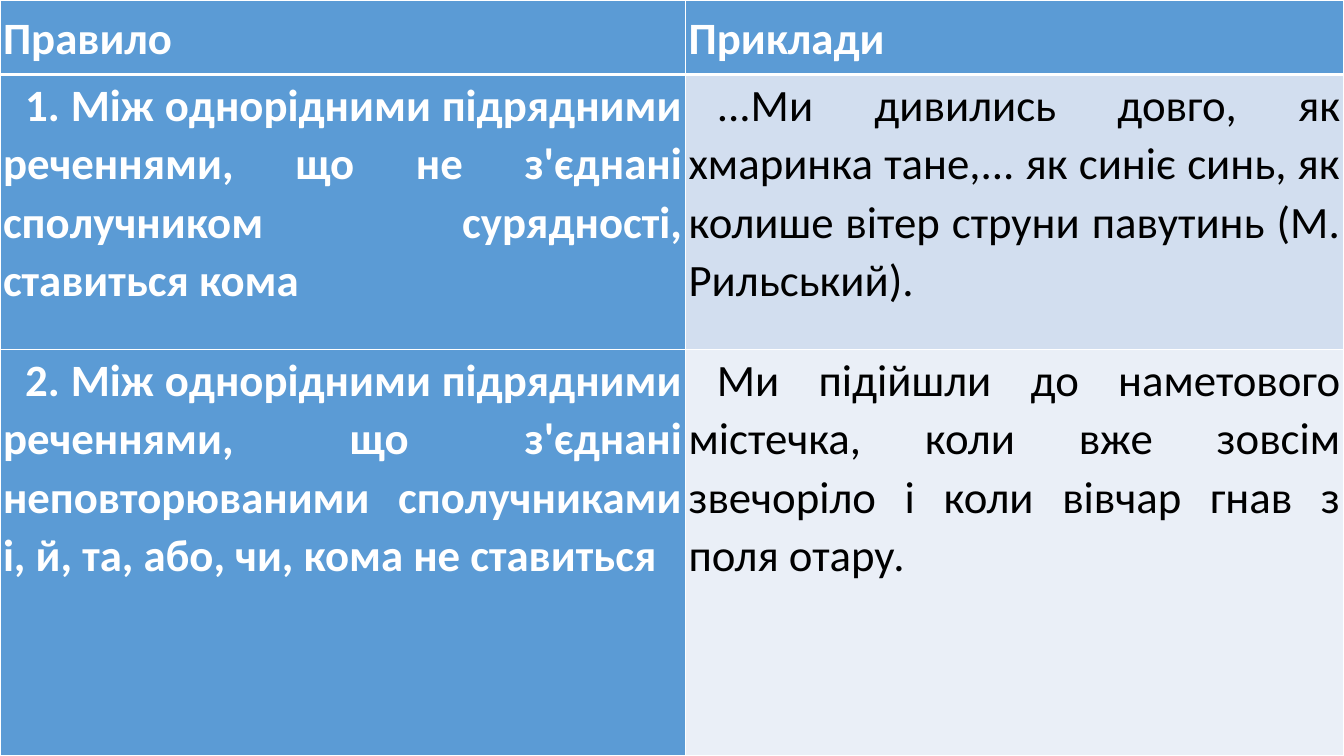
from lxml.etree import SubElement
from pptx import Presentation
from pptx.dml.color import RGBColor
from pptx.enum.text import MSO_ANCHOR, PP_ALIGN
from pptx.oxml.ns import qn
from pptx.util import Inches, Pt

COLORS = {
    "accent": "5B9BD5",
    "white": "FFFFFF",
    "black": "000000",
    "band_dark": "D2DEEF",
    "band_light": "EAEFF7",
}
HEADINGS = ("Правило", "Приклади")
RULES = [
    (
        "1. Між однорідними підрядними реченнями, що не з'єднані "
        "сполучником сурядності, ставиться кома",
        "...Ми дивились довго, як хмаринка тане,... як синіє синь, "
        "як колише вітер струни павутинь (М. Рильський).",
    ),
    (
        "2. Між однорідними підрядними реченнями, що з'єднані "
        "неповторюваними сполучниками і, й, та, або, чи, кома не ставиться",
        "Ми підійшли до наметового містечка, коли вже зовсім звечоріло "
        "і коли вівчар гнав з поля отару.",
    ),
]
COLUMN_WIDTHS = (6.8, 6.53)
ROW_HEIGHTS = (0.74, 2.73, 4.03)
FIRST_LINE_INDENTS = (0.22, 0.28)


def set_borders(cell, top=1, bottom=1):
    """Draw white cell borders; widths are in points."""
    properties = cell._tc.get_or_add_tcPr()
    widths = {"lnL": 1, "lnR": 1, "lnT": top, "lnB": bottom}
    for position, (side, width) in enumerate(widths.items()):
        line = SubElement(properties, qn(f"a:{side}"), w=str(Pt(width)))
        fill = SubElement(line, qn("a:solidFill"))
        SubElement(fill, qn("a:srgbClr"), val=COLORS["white"])
        properties.insert(position, line)


def fill_cell(cell, text, fill, color, bold, indent=0):
    cell.fill.solid()
    cell.fill.fore_color.rgb = RGBColor.from_string(COLORS[fill])
    cell.margin_left = cell.margin_right = Inches(0.03)
    cell.margin_top = cell.margin_bottom = 0

    paragraph = cell.text_frame.paragraphs[0]
    paragraph.alignment = PP_ALIGN.JUSTIFY
    paragraph.line_spacing = 1.07
    if indent:
        paragraph._p.get_or_add_pPr().set("indent", str(Inches(indent)))
    run = paragraph.add_run()
    run.text = text
    run.font.name = "Calibri"
    run.font.size = Pt(32)
    run.font.bold = bold
    run.font.color.rgb = RGBColor.from_string(COLORS[color])


def add_rules_table(slide, left, top, width, height):
    frame = slide.shapes.add_table(
        len(ROW_HEIGHTS), len(COLUMN_WIDTHS),
        Inches(left), Inches(top), Inches(width), Inches(height),
    )
    table = frame.table
    for column, share in zip(table.columns, COLUMN_WIDTHS):
        column.width = Inches(width * share / sum(COLUMN_WIDTHS))
    for row, share in zip(table.rows, ROW_HEIGHTS):
        row.height = Inches(height * share / sum(ROW_HEIGHTS))

    # Heading row
    for column, heading in enumerate(HEADINGS):
        cell = table.cell(0, column)
        fill_cell(cell, heading, "accent", "white", True)
        cell.vertical_anchor = MSO_ANCHOR.MIDDLE
        set_borders(cell, bottom=3)

    # Rules with their examples
    bands = ("band_dark", "band_light")
    for row, ((rule, example), band) in enumerate(zip(RULES, bands), start=1):
        rule_cell, example_cell = table.cell(row, 0), table.cell(row, 1)
        rule_indent, example_indent = FIRST_LINE_INDENTS
        fill_cell(rule_cell, rule, "accent", "white", True, rule_indent)
        fill_cell(example_cell, example, band, "black", False, example_indent)
        for cell in (rule_cell, example_cell):
            set_borders(cell, top=3 if row == 1 else 1)


def main():
    presentation = Presentation()
    presentation.slide_width = Inches(13.33)
    presentation.slide_height = Inches(7.5)
    slide = presentation.slides.add_slide(presentation.slide_layouts[6])
    add_rules_table(slide, 0, 0, 13.33, 7.5)
    presentation.save("out.pptx")


if __name__ == "__main__":
    main()
